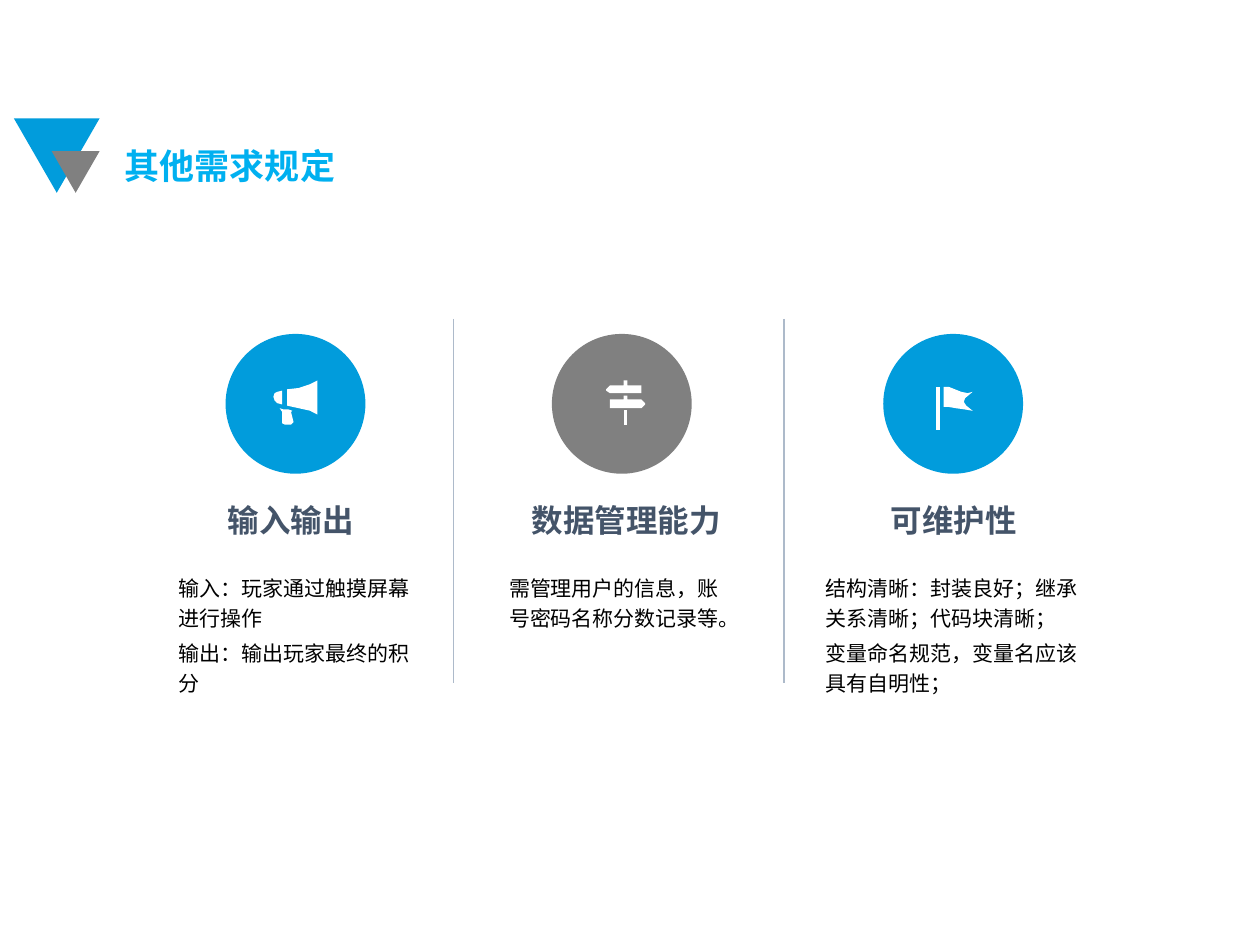
import pptx
import pptx.util
import pptx.dml.color
import pptx.enum.shapes
import pptx.enum.text
import lxml.etree

Inches, Pt = pptx.util.Inches, pptx.util.Pt
SHAPE = pptx.enum.shapes.MSO_SHAPE
CJK = "Noto Sans CJK SC"
BLUE, GREY, WHITE = "019CDC", "808080", "FFFFFF"
TITLE, TITLE_BLUE = "其他需求规定", "00B0F0"
HEADING_COLOUR, DIVIDER_COLOUR = "445469", "ADBACA"

MEGAPHONE = [
    [(43, 59), (45, 62), (45, 70), (45.5, 71.5), (47, 72), (52, 72), (53.5, 71.5),
     (54, 70), (52, 62), (53, 61), (50, 60.2), (46, 60)],
    [(49, 57), (58, 58.5), (67, 61), (73, 64), (73, 37), (67, 40), (58, 43), (49, 44)],
    [(45, 56), (41, 55), (38.8, 53), (38, 50), (38.8, 47.5), (41, 46), (45, 45)],
]
SIGNPOST = [
    [(57, 60), (60, 60), (60, 72), (57, 72)],
    [(57, 41), (46, 41), (43, 44), (43, 45), (46, 47), (71, 47), (71, 41),
     (60, 41), (60, 37), (57, 37)],
    [(57, 52), (46, 52), (46, 59), (71, 59), (74, 56), (74, 55), (71, 52),
     (60, 52), (60, 49), (57, 49)],
]
FLAG = [
    [(64, 54), (65, 51.5), (71, 46), (67, 46.6), (62, 46), (57, 44), (52, 42), (48, 42),
     (48, 58), (49.5, 57.6), (52, 58), (58, 59), (65, 60.3), (71, 61), (66, 56.5)],
    [(42, 42), (45, 42), (45, 76), (42, 76)],
]

REQUIREMENTS = [
    dict(heading="输入输出", heading_at=(1.81, 1.06), body_at=(1.42, 1.96),
         circle_left=1.79, colour=BLUE, icon=MEGAPHONE,
         body=["输入：玩家通过触摸屏幕进行操作", "输出：输出玩家最终的积分"]),
    dict(heading="数据管理能力", heading_at=(4.22, 1.55), body_at=(4.04, 1.81),
         circle_left=4.38, colour=GREY, icon=SIGNPOST,
         body=["需管理用户的信息，账号密码名称分数记录等。"]),
    dict(heading="可维护性", heading_at=(7.07, 1.06), body_at=(6.55, 2.12),
         circle_left=7.01, colour=BLUE, icon=FLAG,
         body=["结构清晰：封装良好；继承关系清晰；代码块清晰；",
               "变量命名规范，变量名应该具有自明性；"]),
]
TRIANGLES = [(0.11, 0.94, 0.68, 0.59, BLUE), (0.41, 1.2, 0.38, 0.33, GREY)]
DIVIDERS, DIVIDER_TOP, DIVIDER_BOTTOM = (3.6, 6.22), 2.53, 5.42
CIRCLE_TOP, CIRCLE_SIZE = 2.65, 1.11
HEADING_TOP, BODY_TOP, LINE_HEIGHT = 3.98, 4.53, 0.24


def rgb(colour):
    return pptx.dml.color.RGBColor.from_string(colour)


def paint(shape, colour):
    shape.fill.solid()
    shape.fill.fore_color.rgb = rgb(colour)
    shape.line.fill.background()
    shape.shadow.inherit = False


def add_solid(kind, left, top, width, height, colour):
    shape = slide.shapes.add_shape(kind, Inches(left), Inches(top), Inches(width), Inches(height))
    paint(shape, colour)
    return shape


def add_icon(outlines, left, top):
    group = slide.shapes.add_group_shape()
    for outline in outlines:
        points = [(left * 100 + x, top * 100 + y) for x, y in outline]
        builder = group.shapes.build_freeform(*points[0], scale=Inches(0.01))
        builder.add_line_segments(points[1:], close=True)
        paint(builder.convert_to_shape(), WHITE)


def write(frame, lines, size, colour, font=CJK, bold=False, spacing=None, before=0.0):
    frame.text = "\n".join(lines)
    frame.vertical_anchor = pptx.enum.text.MSO_ANCHOR.TOP
    for paragraph in frame.paragraphs:
        paragraph.alignment = pptx.enum.text.PP_ALIGN.LEFT
        paragraph.line_spacing = spacing
        paragraph.space_before = Pt(before * size)
        for run in paragraph.runs:
            run.font.size, run.font.bold, run.font.name = Pt(size), bold, font
            run.font.color.rgb = rgb(colour)
            latin = run.font._element.find(pptx.oxml.ns.qn("a:latin"))
            east_asian = lxml.etree.Element(pptx.oxml.ns.qn("a:ea"), typeface=CJK)
            latin.addnext(east_asian)


def add_text(left, top, width, height, wrap, lines, **style):
    box = slide.shapes.add_textbox(Inches(left), Inches(top), Inches(width), Inches(height))
    frame = box.text_frame
    frame.margin_left = frame.margin_right = frame.margin_top = frame.margin_bottom = 0
    frame.word_wrap = wrap
    write(frame, lines, before=0.2, **style)


deck = pptx.Presentation()
deck.slide_width, deck.slide_height = Inches(10), Inches(7.5)
slide = deck.slides.add_slide(deck.slide_layouts[5])

title = slide.shapes.title
title.left, title.top, title.width, title.height = map(Inches, (0.89, 1.1, 2.14, 0.44))
title.text_frame.word_wrap = False
title.text_frame.auto_size = pptx.enum.text.MSO_AUTO_SIZE.NONE
write(title.text_frame, [TITLE], 20, TITLE_BLUE, bold=True)

for triangle in TRIANGLES:
    add_solid(SHAPE.ISOSCELES_TRIANGLE, *triangle).rotation = 180

for x in DIVIDERS:
    divider = slide.shapes.add_connector(
        pptx.enum.shapes.MSO_CONNECTOR.STRAIGHT,
        Inches(x), Inches(DIVIDER_TOP), Inches(x), Inches(DIVIDER_BOTTOM))
    divider.line.color.rgb = rgb(DIVIDER_COLOUR)
    divider.line.width = Pt(1)
    lxml.etree.SubElement(divider._element.spPr, pptx.oxml.ns.qn("a:effectLst"))

for item in REQUIREMENTS:
    add_solid(SHAPE.OVAL, item["circle_left"], CIRCLE_TOP, CIRCLE_SIZE, CIRCLE_SIZE, item["colour"])
    add_icon(item["icon"], item["circle_left"], CIRCLE_TOP)
    heading_left, heading_width = item["heading_at"]
    add_text(heading_left, HEADING_TOP, heading_width, 0.3, False, [item["heading"]],
             size=18, colour=HEADING_COLOUR, font="Arial", bold=True)
    body_left, body_width = item["body_at"]
    add_text(body_left, BODY_TOP, body_width, 2 * LINE_HEIGHT * len(item["body"]), True,
             item["body"], size=12, colour="000000", spacing=1.2)

deck.save("out.pptx")
